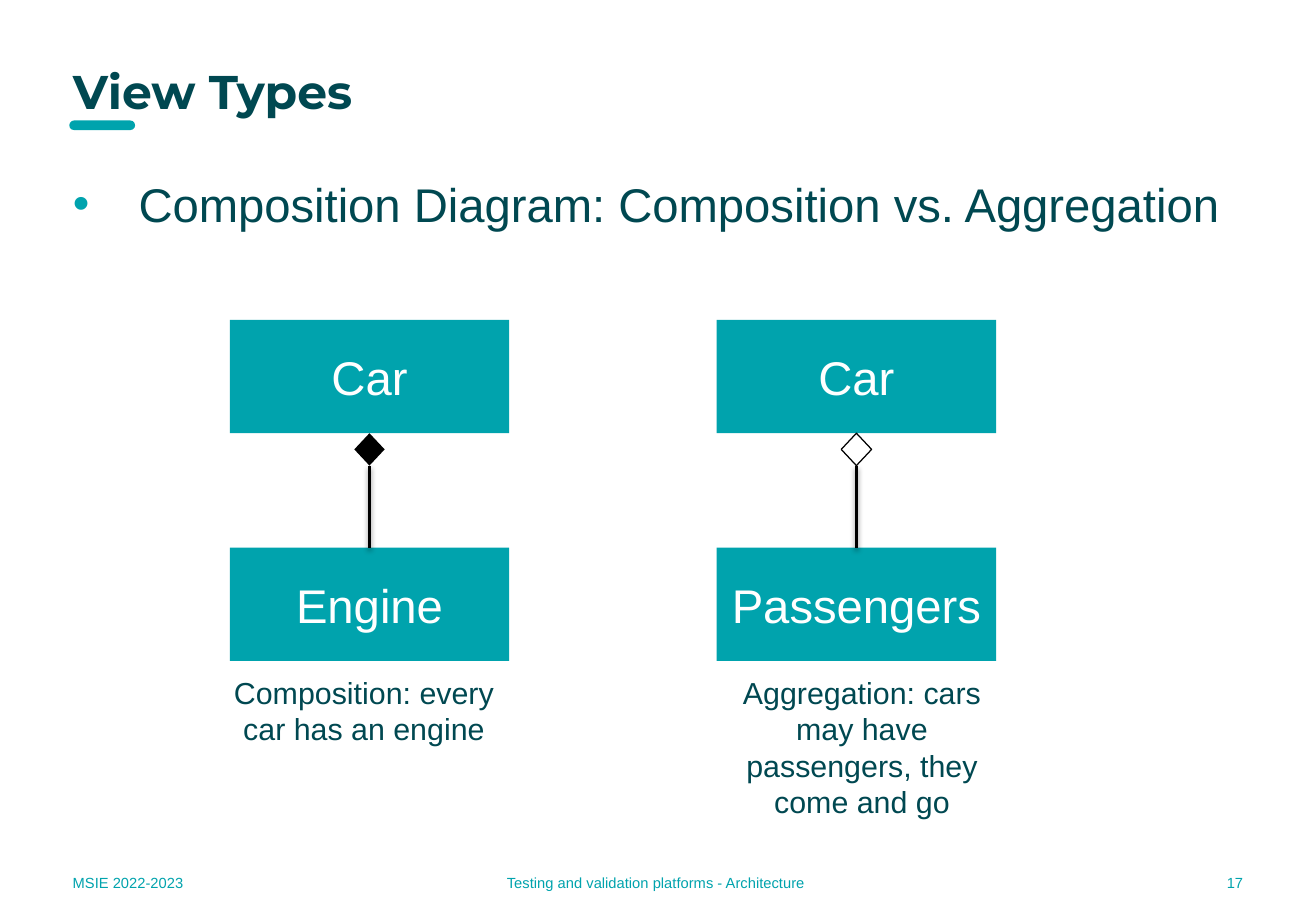
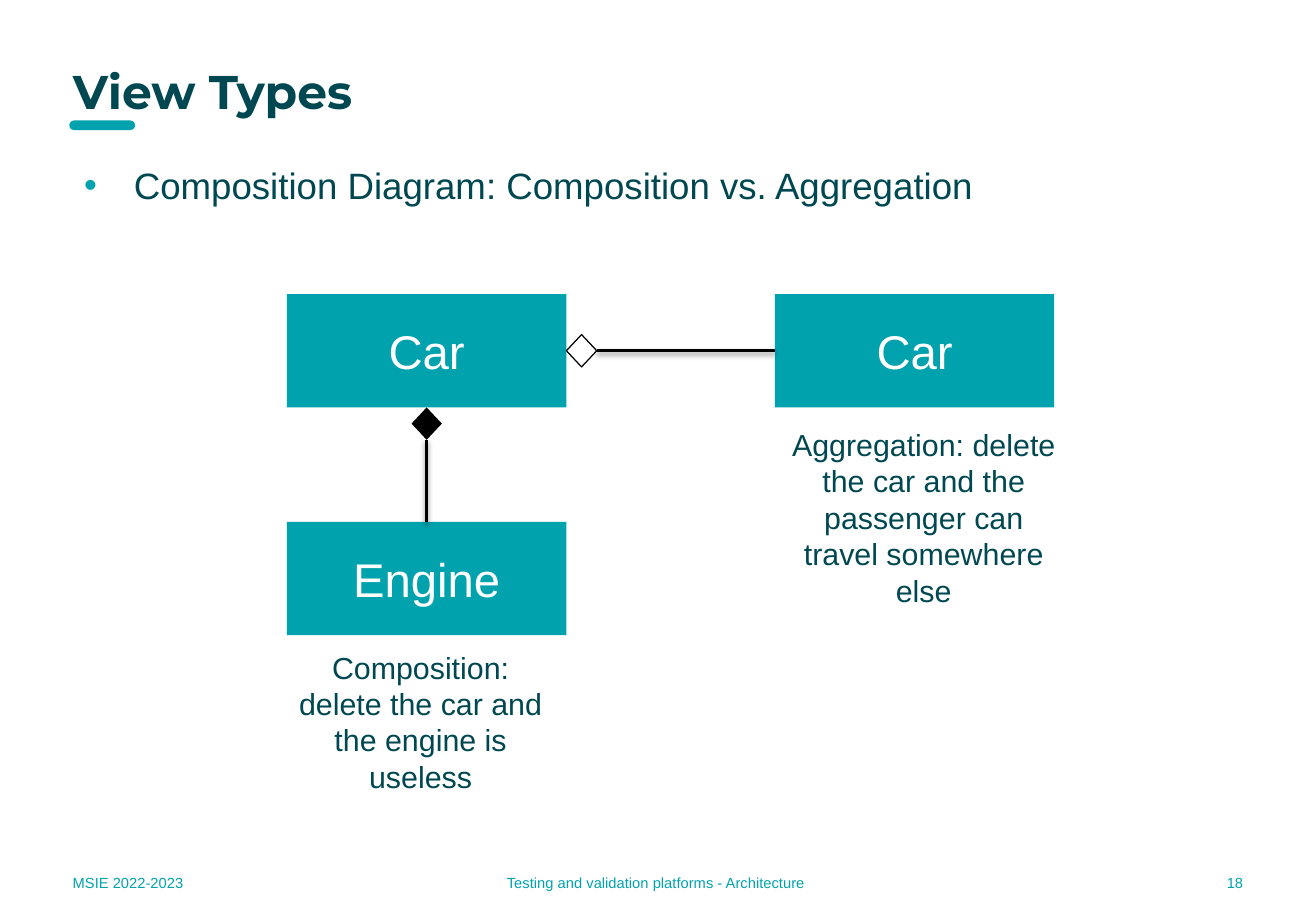
from lxml import etree
from pptx import Presentation, util as u
from pptx.dml.color import RGBColor
from pptx.enum import shapes, text
from pptx.oxml import parse_xml
from pptx.oxml.ns import nsdecls, qn

COLORS = {"teal": "00A3AD", "bullet": "00A3AE", "ink": "004851",
          "black": "000000", "white": "FFFFFF"}
CELL = u.Inches(1 / 12)      # the page is a grid of 130 columns by 90 rows
COLUMNS, ROWS = 130, 90
BOX_W, BOX_H = 27.6, 11.2
DIAMOND_W, DIAMOND_H = 3, 3.2
LEVEL_GAP = 22.5             # rows from the top of one box to the next below
CAPTION_W, CAPTION_LINE = 28.7, 3.63
LEFT, CENTER, RIGHT = text.PP_ALIGN.LEFT, text.PP_ALIGN.CENTER, text.PP_ALIGN.RIGHT
TOP, MIDDLE = text.MSO_ANCHOR.TOP, text.MSO_ANCHOR.MIDDLE
SIDE = {"top": 0, "left": 1, "bottom": 2, "right": 3}

FOOTERS = [("MSIE 2022-2023", 6, 16.8, LEFT),
           ("Testing and validation platforms - Architecture", 30.8, 68, CENTER)]


def color(name):
    return RGBColor.from_string(COLORS[name])


def grid(*cells):
    return [u.Emu(round(cell * CELL)) for cell in cells]


class DeckBuilder:
    """Holds the deck style and the page being drawn."""

    def __init__(self):
        self.deck = Presentation()
        self.deck.slide_width, self.deck.slide_height = grid(COLUMNS, ROWS)
        self.page = None

    def start_page(self, title, number):
        self.page = self.deck.slides.add_slide(self.deck.slide_layouts[1])
        heading = self.page.shapes.title
        self.place(heading, 6, 6.2, 109, 5.6)
        self.set_text(heading, title, 28, "ink", LEFT, MIDDLE, "Montserrat", True)
        bar = self.shape(shapes.MSO_SHAPE.ROUNDED_RECTANGLE, 6.85, 11.9, 6.5, 0.95, "teal")
        bar.adjustments[0] = 0.5
        for words, x, width, align in FOOTERS + [(str(number), 108.2, 15.8, RIGHT)]:
            self.text_box(words, x, 84.8, width, 4.8, 8.7, "teal", align, MIDDLE)

    def place(self, item, x, y, width, height):
        item.left, item.top, item.width, item.height = grid(x, y, width, height)

    def set_text(self, item, words, size, ink, align=CENTER, anchor=MIDDLE,
                 font="Arial", bold=False):
        frame = item.text_frame
        frame.word_wrap = True
        frame.auto_size = text.MSO_AUTO_SIZE.NONE
        frame.vertical_anchor = anchor
        para = frame.paragraphs[0]
        para.alignment = align
        span = para.add_run()
        span.text = words
        span.font.name, span.font.size, span.font.bold = font, u.Pt(size), bold
        span.font.color.rgb = color(ink)
        return para

    def text_box(self, words, x, y, width, height, size, ink, align, anchor):
        box = self.page.shapes.add_textbox(*grid(x, y, width, height))
        self.set_text(box, words, size, ink, align, anchor)

    def bullet(self, words, area, size, indent, before, spacing=1.0):
        body = self.page.placeholders[1]
        self.place(body, *area)
        para = self.set_text(body, words, size, "ink", LEFT, TOP)
        para.space_before, para.line_spacing = u.Pt(before), spacing
        props = para._p.get_or_add_pPr()
        props.set("marL", str(u.Inches(indent)))
        props.set("indent", str(-u.Inches(indent)))
        tint = etree.SubElement(props, qn("a:buClr"))
        etree.SubElement(tint, qn("a:srgbClr"), val=COLORS["bullet"])
        etree.SubElement(props, qn("a:buFont"), typeface="Arial")
        etree.SubElement(props, qn("a:buChar"), char="•")

    def shape(self, kind, x, y, width, height, fill=None):
        """Add a filled shape, or a black outline when there is no fill."""
        item = self.page.shapes.add_shape(kind, *grid(x, y, width, height))
        item.shadow.inherit = False
        if fill:
            item.fill.solid()
            item.fill.fore_color.rgb = color(fill)
            item.line.fill.background()
        else:
            item.fill.background()
            item.line.color.rgb = color("black")
            item.line.width = u.Pt(0.75)
        return item

    def class_box(self, name, x, y):
        box = self.shape(shapes.MSO_SHAPE.RECTANGLE, x, y, BOX_W, BOX_H, "teal")
        self.set_text(box, name, 28, "white")
        return box

    def relation(self, whole, part, start, end, fill=None):
        """Join two boxes by a line with a diamond at the whole's start side."""
        x, y = whole.left / CELL, whole.top / CELL
        if start == "bottom":
            x, y = x + (BOX_W - DIAMOND_W) / 2, y + BOX_H
        else:
            x, y = x + BOX_W, y + (BOX_H - DIAMOND_H) / 2
        diamond = self.shape(shapes.MSO_SHAPE.DIAMOND, x, y, DIAMOND_W, DIAMOND_H, fill)
        line = self.page.shapes.add_connector(shapes.MSO_CONNECTOR.STRAIGHT, 0, 0, 0, 0)
        line.begin_connect(diamond, SIDE[start])
        line.end_connect(part, SIDE[end])
        line.line.color.rgb = color("black")
        line.line.width = u.Pt(2)
        line._element.spPr.append(parse_xml(
            f'<a:effectLst {nsdecls("a")}><a:outerShdw blurRad="{u.Pt(3.1)}" '
            f'dist="{u.Pt(1.6)}" dir="5400000" rotWithShape="0">'
            f'<a:srgbClr val="{COLORS["black"]}"><a:alpha val="38000"/></a:srgbClr>'
            '</a:outerShdw></a:effectLst>'))

    def caption(self, words, x, y, lines):
        self.text_box(words, x, y, CAPTION_W, 1.2 + lines * CAPTION_LINE,
                      18, "ink", CENTER, TOP)

    def stack(self, whole, part, x, y, fill=None):
        """Draw a whole above its part and return the whole."""
        upper = self.class_box(whole, x, y)
        lower = self.class_box(part, x, y + LEVEL_GAP)
        self.relation(upper, lower, "bottom", "top", fill)
        return upper


def main():
    builder = DeckBuilder()
    title = "View Types"
    topic = "Composition Diagram: Composition vs. Aggregation"

    builder.start_page(title, 17)
    builder.bullet(topic, (6, 16.7, 118, 63), 28, 0.54, 5.6)
    builder.stack("Car", "Engine", 22.7, 31.6, "black")
    builder.stack("Car", "Passengers", 70.8, 31.6)
    builder.caption("Composition: every car has an engine", 21.6, 66, 2)
    builder.caption("Aggregation: cars may have passengers, they come and go", 70.8, 66, 4)

    builder.start_page(title, 18)
    builder.bullet(topic, (7.1, 14.2, 105, 6.4), 21.7, 0.41, 5.4, 1.3)
    car = builder.stack("Car", "Engine", 28.35, 29.05, "black")
    other_car = builder.class_box("Car", 76.55, 29.05)
    builder.relation(car, other_car, "right", "left")
    builder.caption("Composition: delete the car and the engine is useless", 27.2, 63.5, 4)
    builder.caption("Aggregation: delete the car and the passenger can travel somewhere else",
                    76.9, 41.5, 5)

    builder.deck.save("out.pptx")


if __name__ == "__main__":
    main()
